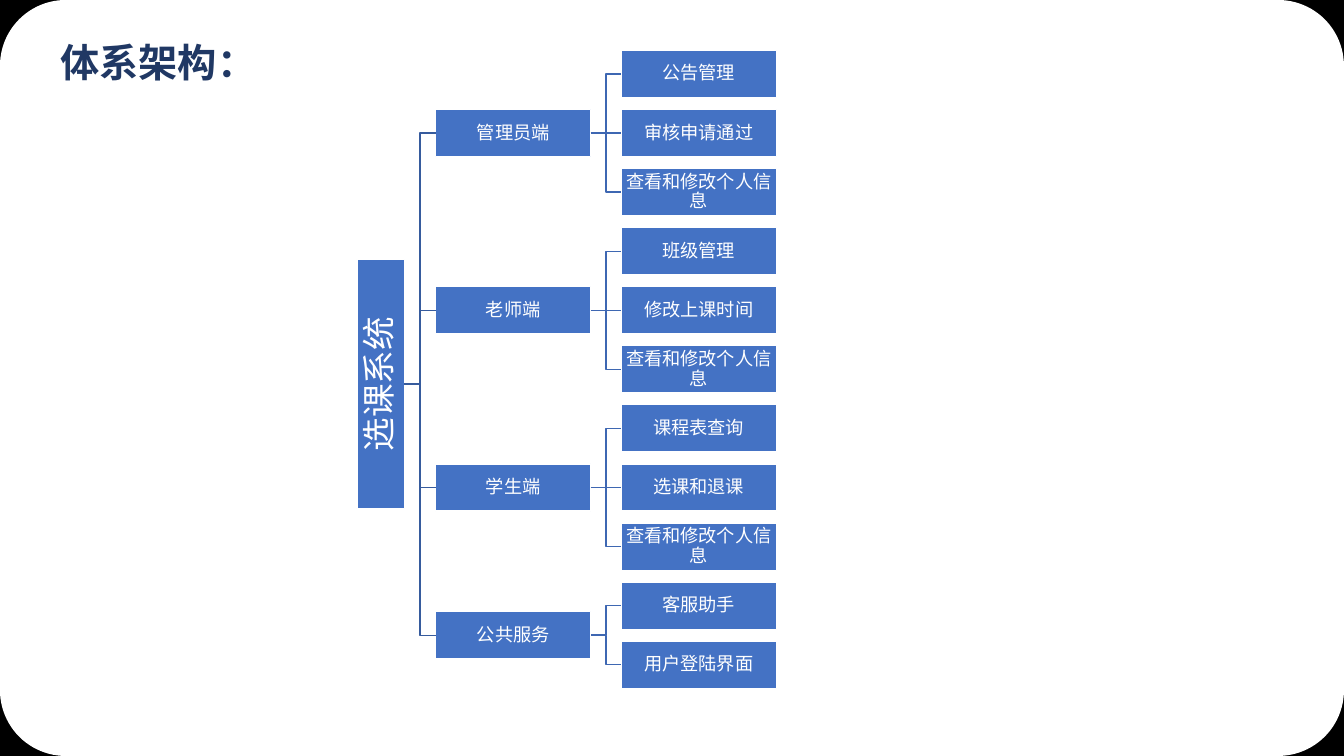
from dataclasses import dataclass
from lxml.etree import SubElement
from pptx import Presentation
from pptx.dml.color import RGBColor
from pptx.enum.shapes import MSO_CONNECTOR, MSO_SHAPE
from pptx.enum.text import MSO_ANCHOR, MSO_AUTO_SIZE, PP_ALIGN
from pptx.oxml.ns import qn
from pptx.util import Inches, Pt


@dataclass(frozen=True)
class Theme:
    back: str = "000000"
    card: str = "FFFFFF"
    box: str = "4472C4"
    text: str = "FFFFFF"
    title: str = "203864"
    trunk: str = "365B9D"
    twig: str = "3E67B2"
    face: str = "Noto Sans CJK SC"
    head: str = "League Spartan"
    big: int = 28
    root: int = 24
    node: int = 13


TREE = {
    "管理员端": ["公告管理", "审核申请通过", "查看和修改个人信息"],
    "老师端": ["班级管理", "修改上课时间", "查看和修改个人信息"],
    "学生端": ["课程表查询", "选课和退课", "查看和修改个人信息"],
    "公共服务": ["客服助手", "用户登陆界面"],
}
ROOT_X, ROOT_H = 3.54, 2.47
PART_X, LEAF_X = 4.32, 6.16
WIDE, HIGH = 1.54, 0.47
TOP, LAST = 0.5, 6.36


class Chart:
    def __init__(self, slide, theme):
        self.slide, self.theme = slide, theme
        self.shapes = slide.shapes

    def card(self, wide, high):
        fill = self.slide.background.fill
        fill.solid()
        fill.fore_color.rgb = RGBColor.from_string(self.theme.back)
        card = self.shapes.add_shape(MSO_SHAPE.ROUNDED_RECTANGLE, 0, 0, wide, high)
        card.adjustments[0] = 0.087
        card.shadow.inherit = False
        card.fill.solid()
        card.fill.fore_color.rgb = RGBColor.from_string(self.theme.card)
        card.line.fill.background()

    def style(self, para, size, color, face, bold=False):
        font = para.runs[0].font
        font.size, font.bold, font.name = Pt(size), bold, face
        font.color.rgb = RGBColor.from_string(color)
        SubElement(para.runs[0]._r.rPr, qn("a:ea"), typeface=face)

    def title(self, text):
        title = self.shapes.title
        self.shapes._spTree.append(title._element)  # bring above the card
        title.left, title.top = Inches(0.5), Inches(0.33)
        title.width, title.height = Inches(2.12), Inches(0.57)
        frame = title.text_frame
        frame.text = text
        frame.word_wrap = False
        frame.auto_size = MSO_AUTO_SIZE.SHAPE_TO_FIT_TEXT
        frame.vertical_anchor = MSO_ANCHOR.TOP
        para = frame.paragraphs[0]
        para.alignment = PP_ALIGN.LEFT
        para.line_spacing = 1.0
        self.style(para, self.theme.big, self.theme.title, self.theme.head, True)

    def box(self, text, x, mid, wide=WIDE, high=HIGH, size=None, pad=0.01):
        """Draw a box centred on the height mid."""
        box = self.shapes.add_shape(MSO_SHAPE.RECTANGLE, Inches(x), Inches(mid - high / 2),
                                    Inches(wide), Inches(high))
        box.shadow.inherit = False
        box.fill.solid()
        box.fill.fore_color.rgb = RGBColor.from_string(self.theme.box)
        box.line.color.rgb = RGBColor.from_string(self.theme.card)
        box.line.width = Pt(1)
        frame = box.text_frame
        frame.text = text
        frame.word_wrap = True
        frame.vertical_anchor = MSO_ANCHOR.MIDDLE
        frame.margin_left = frame.margin_right = Inches(pad)
        frame.margin_top = frame.margin_bottom = Inches(pad)
        para = frame.paragraphs[0]
        para.alignment = PP_ALIGN.CENTER
        para.line_spacing = 0.9
        self.style(para, size or self.theme.node, self.theme.text, self.theme.face)
        return box

    def root(self, text, mid):
        root = self.box(text, ROOT_X, mid, HIGH, ROOT_H, self.theme.root, 0.02)
        root.text_frame._txBody.bodyPr.set("vert", "vert270")
        return root

    def link(self, start, end, color):
        """Join the right side of start to the left side of end."""
        gap = start.top + start.height // 2 - end.top - end.height // 2
        kind = MSO_CONNECTOR.STRAIGHT if abs(gap) < Inches(0.01) else MSO_CONNECTOR.ELBOW
        link = self.shapes.add_connector(kind, 0, 0, 0, 0)
        link.begin_connect(start, 3)
        link.end_connect(end, 1)
        link.line.color.rgb = RGBColor.from_string(color)
        link.line.width = Pt(1)
        SubElement(link._element.spPr, qn("a:effectLst"))


def main():
    deck = Presentation()
    deck.slide_width, deck.slide_height = Inches(13.33), Inches(7.5)
    theme = Theme()
    chart = Chart(deck.slides.add_slide(deck.slide_layouts[5]), theme)
    chart.card(deck.slide_width, deck.slide_height)
    chart.title("体系架构：")

    step = (LAST - TOP) / (sum(map(len, TREE.values())) - 1)
    row, parts, mids = 0, [], []
    for name, leaves in TREE.items():
        rows = [TOP + HIGH / 2 + step * (row + i) for i in range(len(leaves))]
        row += len(leaves)
        mids.append((rows[0] + rows[-1]) / 2)
        part = chart.box(name, PART_X, mids[-1])
        parts.append(part)
        for leaf, mid in zip(leaves, rows):
            chart.link(part, chart.box(leaf, LEAF_X, mid), theme.twig)

    root = chart.root("选课系统", (mids[0] + mids[-1]) / 2)
    for part in parts:
        chart.link(root, part, theme.trunk)
    deck.save("out.pptx")


if __name__ == "__main__":
    main()
